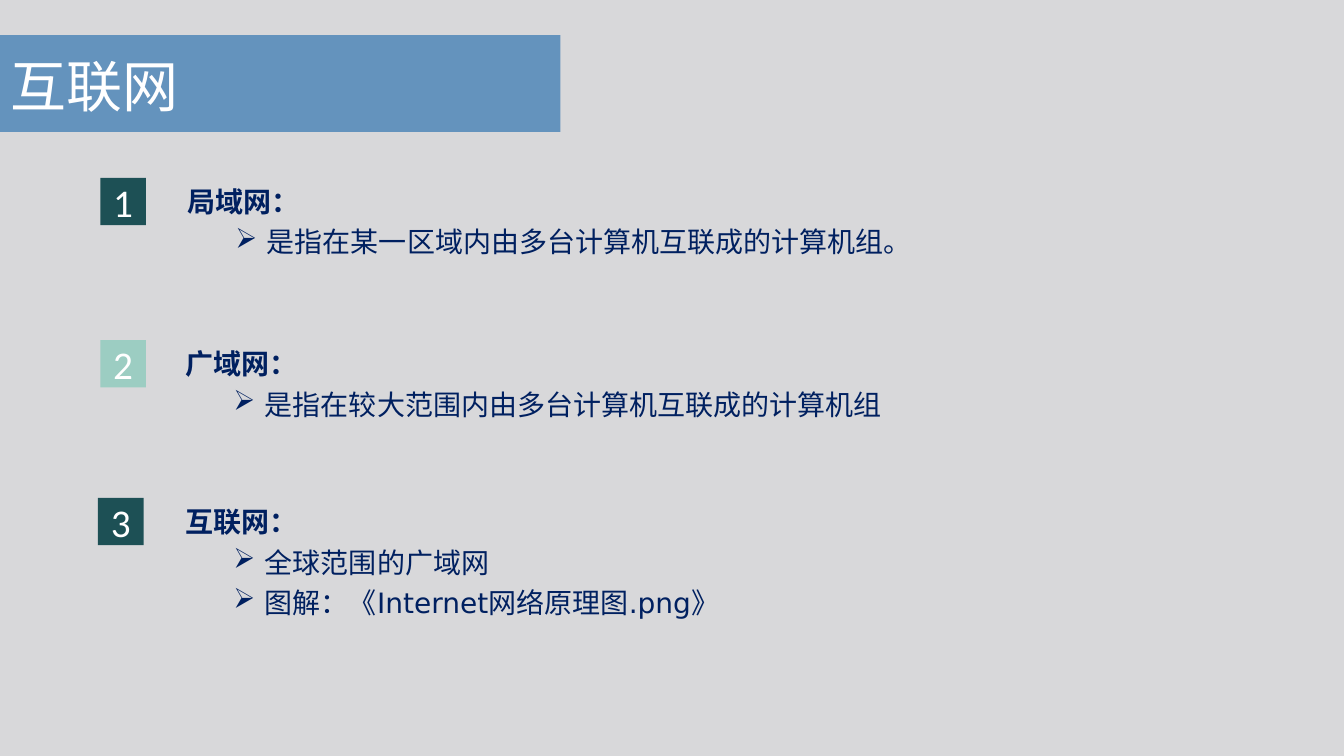
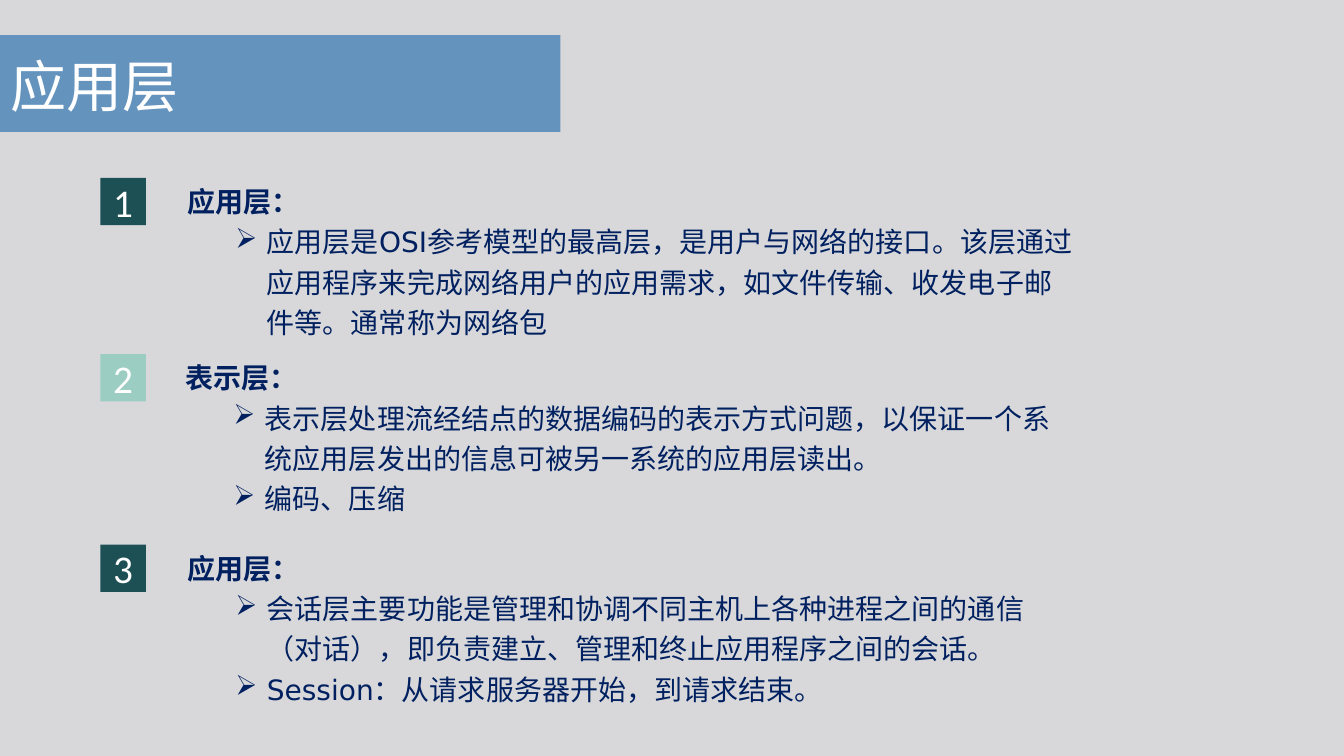
from dataclasses import dataclass

from lxml import etree
from pptx import Presentation
from pptx.dml.color import RGBColor
from pptx.enum.shapes import MSO_SHAPE
from pptx.enum.text import MSO_ANCHOR, PP_ALIGN
from pptx.oxml.ns import qn
from pptx.util import Pt

RECTANGLE = MSO_SHAPE.RECTANGLE
TOP, MIDDLE = MSO_ANCHOR.TOP, MSO_ANCHOR.MIDDLE
LEFT, CENTER = PP_ALIGN.LEFT, PP_ALIGN.CENTER


@dataclass(frozen=True)
class Theme:
    background: str = "D8D8DA"
    band: str = "3477B2"
    band_opacity: int = 70
    dark: str = "1D5055"
    light: str = "9CCDC2"
    white: str = "FFFFFF"
    body: str = "002060"
    title_font: str = "Arial"
    number_font: str = "Calibri"
    body_font: str = "DejaVu Sans"
    title_size: int = 40
    number_size: int = 28
    body_size: int = 20
    line_spacing: float = 1.2


THEME = Theme()
BAND = (0, 25.2, 400.3, 69.1)
TITLE = (0.7, 20.9, 394.6, 79.9)
BADGE = (32.6, 33.8)
TEXT_WIDTH = 635
BULLET_INDENT, BULLET_HANG = 56.7, 22.5

# Each topic: (badge left, text left, top), heading, bullet points
SLIDES = [
    ("互联网", 97.2, [
        ((71.7, 133.9, 127.1), "局域网：",
         ["是指在某一区域内由多台计算机互联成的计算机组。"]),
        ((71.7, 132.5, 243), "广域网：",
         ["是指在较大范围内由多台计算机互联成的计算机组"]),
        ((70, 132.5, 355.7), "互联网：",
         ["全球范围的广域网", "图解：《Internet网络原理图.png》"]),
    ]),
    ("应用层", 128.9, [
        ((71.7, 133.9, 127.1), "应用层：",
         ["应用层是OSI参考模型的最高层，是用户与网络的接口。该层通过应用程序来完成"
          "网络用户的应用需求，如文件传输、收发电子邮件等。通常称为网络包"]),
        ((71.7, 132.5, 253), "表示层：",
         ["表示层处理流经结点的数据编码的表示方式问题，以保证一个系统应用层发出的信息"
          "可被另一系统的应用层读出。", "编码、压缩"]),
        ((71.7, 133.9, 389), "应用层：",
         ["会话层主要功能是管理和协调不同主机上各种进程之间的通信（对话），"
          "即负责建立、管理和终止应用程序之间的会话。",
          "Session：从请求服务器开始，到请求结束。"]),
    ]),
]


def apply(target, values):
    for name, value in values.items():
        setattr(target, name, value)


def add_rectangle(page, box, color, opacity=100):
    shape = page.shapes.add_shape(RECTANGLE, *map(Pt, box))
    shape.shadow.inherit = False
    shape.fill.solid()
    shape.fill.fore_color.rgb = RGBColor.from_string(color)
    shape.line.fill.background()
    if opacity < 100:
        color_node = shape.fill._xPr.find(".//" + qn("a:srgbClr"))
        etree.SubElement(color_node, qn("a:alpha"), val=str(opacity * 1000))
    return shape


def add_text_box(page, box, **frame_format):
    frame = page.shapes.add_textbox(*map(Pt, box)).text_frame
    apply(frame, {"word_wrap": True, **frame_format})
    return frame


def write(para, text, font, size, color, bold=False, align=LEFT):
    para.alignment = align
    span = para.add_run()
    span.text = text
    apply(span.font, {"name": font, "size": Pt(size), "bold": bold})
    span.font.color.rgb = RGBColor.from_string(color)
    # East Asian text uses the same typeface
    latin = span.font._element.find(qn("a:latin"))
    latin.addnext(latin.makeelement(qn("a:ea"), {"typeface": font}))


def add_bullet(para):
    properties = para._p.get_or_add_pPr()
    properties.set("marL", str(Pt(BULLET_INDENT)))
    properties.set("indent", str(-Pt(BULLET_HANG)))
    etree.SubElement(properties, qn("a:buChar"), char="➢")


def draw_title(page, title):
    add_rectangle(page, BAND, THEME.band, THEME.band_opacity)
    frame = add_text_box(page, TITLE, vertical_anchor=MIDDLE)
    write(frame.paragraphs[0], title, THEME.title_font, THEME.title_size, THEME.white)


def draw_badge(page, box, number):
    color = THEME.dark if number % 2 else THEME.light
    frame = add_rectangle(page, box, color).text_frame
    frame.vertical_anchor = MIDDLE
    write(frame.paragraphs[0], str(number), THEME.number_font, THEME.number_size,
          THEME.white, align=CENTER)


def draw_topic(page, box, heading, points):
    frame = add_text_box(page, box, vertical_anchor=TOP, margin_left=0,
                         margin_top=0, margin_right=0, margin_bottom=0)
    for index, text in enumerate([heading, *points]):
        para = frame.add_paragraph() if index else frame.paragraphs[0]
        para.line_spacing = THEME.line_spacing
        write(para, text, THEME.body_font, THEME.body_size, THEME.body, bold=index == 0)
        if index:
            add_bullet(para)


def build_slide(deck, title, text_height, topics):
    page = deck.slides.add_slide(deck.slide_layouts[6])
    page.background.fill.solid()
    page.background.fill.fore_color.rgb = RGBColor.from_string(THEME.background)
    draw_title(page, title)
    for number, ((badge_left, text_left, top), heading, points) in enumerate(topics, 1):
        draw_badge(page, (badge_left, top, *BADGE), number)
        draw_topic(page, (text_left, top, TEXT_WIDTH, text_height), heading, points)


deck = Presentation()
apply(deck, {"slide_width": Pt(960), "slide_height": Pt(540)})
for content in SLIDES:
    build_slide(deck, *content)
deck.save("out.pptx")
